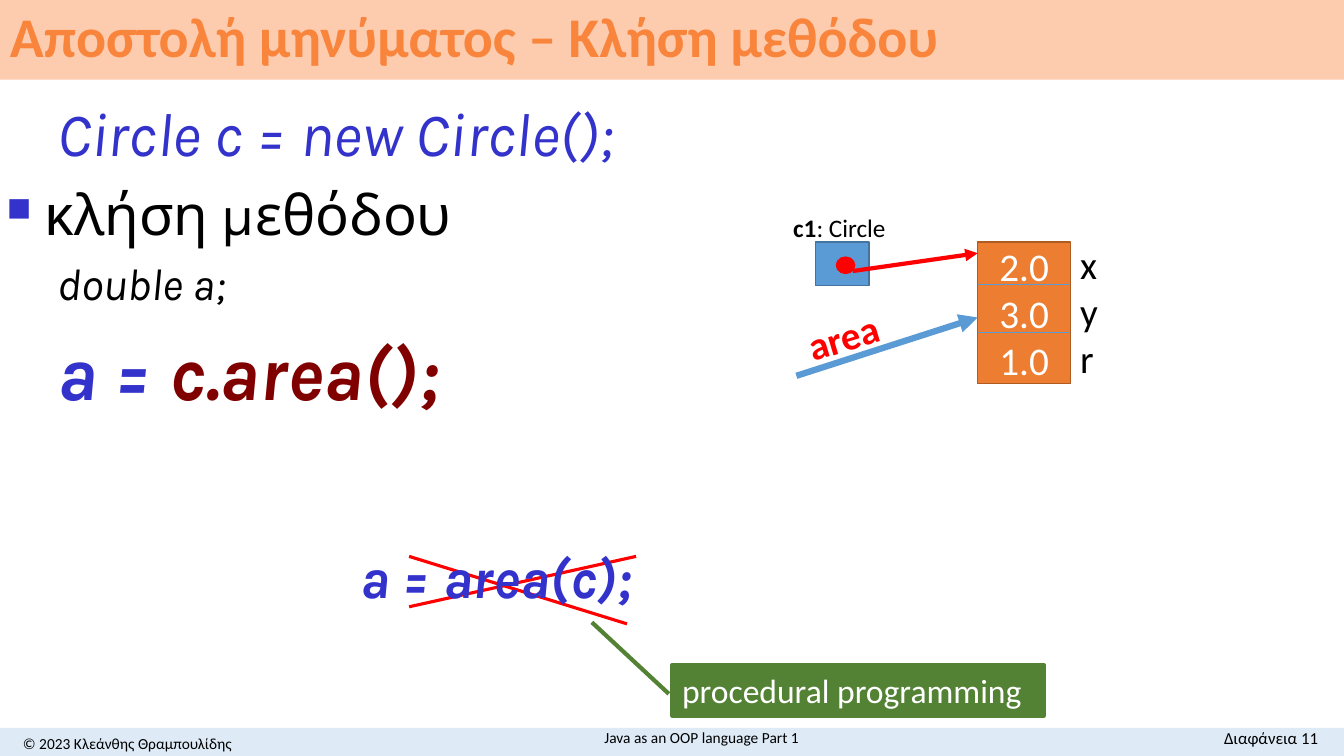
import pptx
import pptx.util
import pptx.dml.color
import pptx.enum.shapes
import pptx.enum.text
import pptx.oxml.ns
import lxml.etree

Cm, Pt = pptx.util.Cm, pptx.util.Pt
RGB = pptx.dml.color.RGBColor.from_string
qn = pptx.oxml.ns.qn
MSO = pptx.enum.shapes.MSO_SHAPE
LEFT, CENTER, RIGHT = (getattr(pptx.enum.text.PP_ALIGN, n) for n in ("LEFT", "CENTER", "RIGHT"))
TOP, MIDDLE = pptx.enum.text.MSO_ANCHOR.TOP, pptx.enum.text.MSO_ANCHOR.MIDDLE
COLORS = {
    "footer": "DEEBF7", "title_fill": "FDCBAD", "title": "F9853D", "black": "000000",
    "white": "FFFFFF", "code": "3333CC", "call": "800000", "red": "FF0000",
    "blue": "5B9BD5", "blue_edge": "43739E", "orange": "ED7D31",
    "orange_edge": "AF5C24", "green": "548235",
}

prs = pptx.Presentation()
prs.slide_width, prs.slide_height = Cm(33.87), Cm(19.05)
s = prs.slides.add_slide(prs.slide_layouts[6])


def add_box(at, paras=(), size=18, color="black", bold=False, italic=False, font="Calibri",
            align=LEFT, anchor=MIDDLE, wrap=True, kind=None, fill=None, edge=None, width=1):
    at = [Cm(v) for v in at]
    if kind is None:
        sp = s.shapes.add_textbox(*at)
    else:
        sp = s.shapes.add_shape(kind, *at)
        sp.shadow.inherit = False
        sp.fill.solid()
        sp.fill.fore_color.rgb = RGB(COLORS[fill])
        if edge:
            sp.line.color.rgb = RGB(COLORS[edge])
            sp.line.width = Pt(width)
        else:
            sp.line.fill.background()
    tf = sp.text_frame
    tf.word_wrap = wrap
    tf.vertical_anchor = anchor
    for i, runs in enumerate(paras):
        p = tf.add_paragraph() if i else tf.paragraphs[0]
        p.alignment = align
        for text, own in runs:
            r = p.add_run()
            r.text = text
            r.font.name = font
            r.font.size = Pt(own.get("size", size))
            r.font.bold = own.get("bold", bold)
            r.font.italic = own.get("italic", italic)
            r.font.color.rgb = RGB(COLORS[own.get("color", color)])
    return sp


def add_line(x1, y1, x2, y2, color, width, arrow=False):
    ln = s.shapes.add_connector(pptx.enum.shapes.MSO_CONNECTOR.STRAIGHT,
                                Cm(x1), Cm(y1), Cm(x2), Cm(y2))
    ln.line.color.rgb = RGB(COLORS[color])
    ln.line.width = Pt(width)
    if arrow:
        lxml.etree.SubElement(ln.line._get_or_add_ln(), qn("a:tailEnd"), type="triangle")
    lxml.etree.SubElement(ln._element.spPr, qn("a:effectLst"))


add_box((0, 18.34, 33.87, 0.71), kind=MSO.RECTANGLE, fill="footer")
title = add_box((0, 0, 33.87, 2.01), [[("Αποστολή μηνύματος – Κλήση μεθόδου", {})]],
                size=40, color="title", bold=True, kind=MSO.RECTANGLE, fill="title_fill")
title.text_frame.paragraphs[0].line_spacing = 0.9

for at, text, size, align, anchor in (
    ((0, 18.34, 6.43, 0.76), "© 2023 Κλεάνθης Θραμπουλίδης", 11, CENTER, MIDDLE),
    ((28.24, 18.21, 5.23, 0.76), "Διαφάνεια 11", 12, RIGHT, TOP),
    ((9.19, 18.21, 16.99, 0.76), "Java as an OOP language Part 1", 11, CENTER, MIDDLE),
):
    add_box(at, [[(text, {})]], size=size, align=align, anchor=anchor)

body = add_box((-0.08, 2.26, 22.3, 9.53), [
    [("Circle c = new Circle();", {"size": 44, "color": "code"})],
    [("κλήση μεθόδου", {"size": 40, "italic": False})],
    [("double a;", {"size": 32})],
    [("a = ", {"size": 54, "color": "code", "bold": True}),
     ("c.area();", {"size": 54, "color": "call", "bold": True})],
], font="Karla", italic=True, anchor=TOP)

add_line(10.31, 15.29, 16.03, 14.02, "red", 2.25)
add_line(10.31, 14.02, 15.8, 15.72, "red", 2.25)

add_box((20.55, 6.1, 1.35, 1.09), kind=MSO.RECTANGLE, fill="blue", edge="blue_edge")
add_box((24.64, 6.1, 2.34, 3.56), [[(v, {})] for v in ("2.0", "3.0", "1.0")], size=28,
        color="white", align=CENTER, kind=MSO.RECTANGLE, fill="orange", edge="orange_edge")
add_box((19.74, 5.23, 2.87, 1.02), [[("c1", {"bold": True}), (": Circle", {})]],
        anchor=TOP, wrap=False)
add_box((21.08, 6.48, 0.46, 0.41), kind=MSO.OVAL, fill="red", edge="red")
add_line(21.49, 6.83, 24.64, 6.38, "red", 3, arrow=True)
add_box((26.97, 5.94, 1.63, 3.84), [[(v, {})] for v in "xyr"], size=28, anchor=TOP)
for y in (7.16, 8.38):
    add_line(24.64, y, 26.97, y, "blue", 0.5)
add_line(20.07, 9.47, 24.64, 8, "blue", 4.5, arrow=True)
area = add_box((20.09, 7.75, 2.36, 1.45), [[("area", {})]], size=28, color="red",
               bold=True, anchor=TOP, wrap=False)
area.rotation = 343.2

callout = add_box((16.94, 16.76, 9.37, 1.27), [[("procedural programming", {})]], size=24,
                  color="white", kind=MSO.LINE_CALLOUT_1, fill="green", edge="green", width=3)
for i, value in enumerate((0.571, -0.009, -0.849, -0.216)):
    callout.adjustments[i] = value

wrong = add_box((7.57, 13.54, 11.18, 2.84), [[("a = area(c);", {})]], size=40,
                color="code", bold=True, italic=True, font="Karla", anchor=TOP)

for sp in (body, wrong):
    for i, p in enumerate(sp.text_frame.paragraphs):
        bullet = sp is body and i == 1
        if i:
            p.space_before = Pt(p.runs[0].font.size.pt * 0.2)
        pPr = p._p.get_or_add_pPr()
        left, indent = (0.95, -0.95) if bullet else (2.06, -0.79)
        pPr.set("marL", str(Cm(left)))
        pPr.set("indent", str(Cm(indent)))
        if bullet:
            clr = lxml.etree.SubElement(pPr, qn("a:buClr"))
            lxml.etree.SubElement(clr, qn("a:srgbClr"), val=COLORS["code"])
            lxml.etree.SubElement(pPr, qn("a:buSzPct"), val="60000")
            lxml.etree.SubElement(pPr, qn("a:buChar"), char="■")
        else:
            pPr.set("lvl", "1")
            lxml.etree.SubElement(pPr, qn("a:buNone"))

prs.save("out.pptx")
